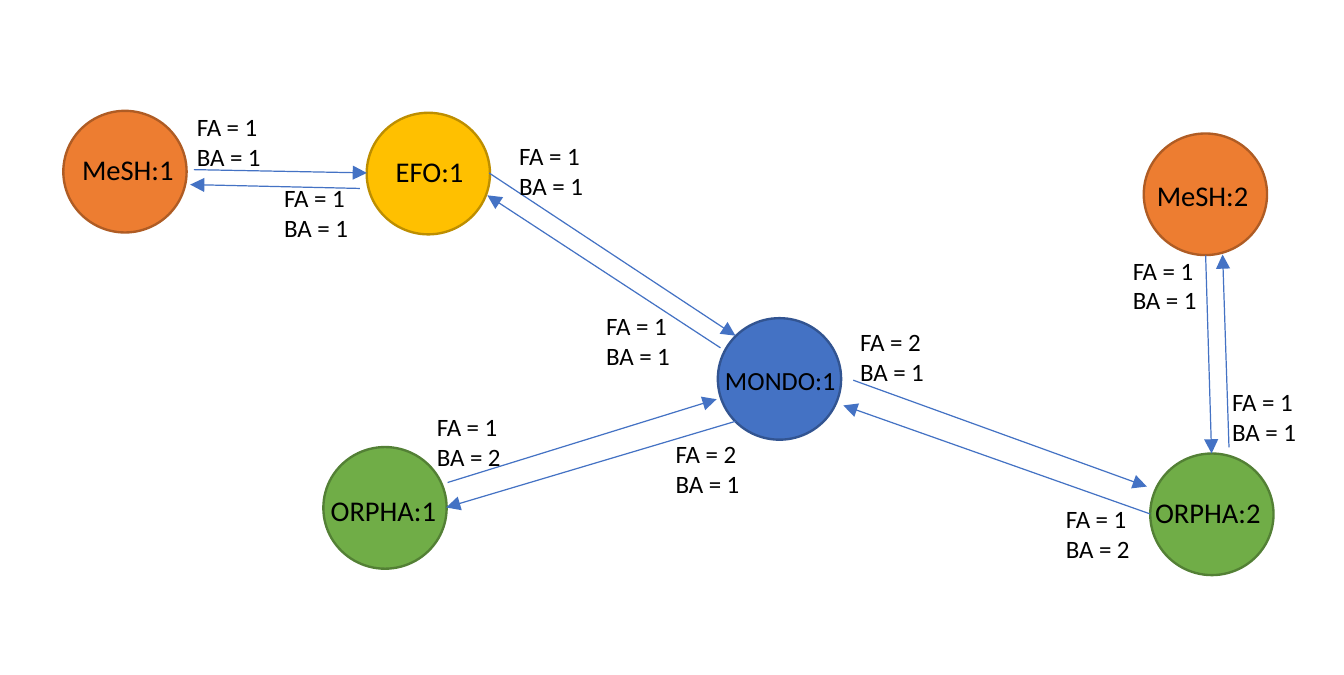
from lxml.etree import SubElement
from pptx import Presentation
from pptx.dml.color import RGBColor
from pptx.enum.shapes import MSO_CONNECTOR, MSO_SHAPE
from pptx.enum.text import MSO_AUTO_SIZE, PP_ALIGN
from pptx.oxml.ns import qn
from pptx.util import Pt

BLACK = RGBColor(0x00, 0x00, 0x00)
BLUE = RGBColor(0x44, 0x72, 0xC4)
DARK_BLUE = RGBColor(0x32, 0x54, 0x91)
ORANGE = RGBColor(0xED, 0x7D, 0x31)
DARK_ORANGE = RGBColor(0xAF, 0x5C, 0x24)
GREEN = RGBColor(0x70, 0xAD, 0x47)
DARK_GREEN = RGBColor(0x53, 0x80, 0x35)
YELLOW = RGBColor(0xFF, 0xC0, 0x00)
DARK_YELLOW = RGBColor(0xBD, 0x8E, 0x00)

# Caption, size, fill, outline, circle position, caption position and width
NODES = [
    ("MONDO:1", 11, BLUE, DARK_BLUE, (301.5, 133.7), (297.4, 149.8), 61.2),
    ("MeSH:1", 12, ORANGE, DARK_ORANGE, (26.6, 46.6), (27.4, 60.5), 53.3),
    ("ORPHA:2", 12, GREEN, DARK_GREEN, (483.1, 190.6), (478.1, 204.5), 59.8),
    ("MeSH:2", 12, ORANGE, DARK_ORANGE, (480.4, 56.1), (478.8, 71.3), 53.3),
    ("ORPHA:1", 12, GREEN, DARK_GREEN, (135.8, 187.9), (131.8, 203.8), 59.8),
    ("EFO:1", 12, YELLOW, DARK_YELLOW, (154, 47.4), (159.1, 61.2), 43.2),
]

# Arrow start, arrow end, label position, FA, BA
MAPPINGS = [
    ((81.4, 71.3), (154.1, 72.7), (75.6, 43.2), 1, 1),
    ((151.2, 79.2), (79.9, 77.6), (112.3, 73.4), 1, 1),
    ((205.4, 72.7), (308.9, 141.1), (211, 55.4), 1, 1),
    ((302.6, 146.2), (204.7, 82.1), (247.5, 126.9), 1, 1),
    ((188, 202.8), (301, 167.8), (176.4, 169.4), 1, 2),
    ((308.9, 177.1), (187.4, 213.3), (276.7, 180.8), 2, 1),
    ((358.4, 159.8), (481.7, 204.5), (354.2, 133.9), 2, 1),
    ((483.1, 216), (354.2, 170.4), (440.6, 208.1), 1, 2),
    ((506.4, 107.3), (508.9, 190.6), (468.7, 103.7), 1, 1),
    ((516.2, 188), (513.5, 107), (510.5, 159.1), 1, 1),
]


class MappingDiagram:
    font_name = "Calibri"
    circle_size = (51.8, 51.1)

    def __init__(self, slide):
        self.slide = slide

    def circle(self, position, fill, outline):
        shape = self.slide.shapes.add_shape(
            MSO_SHAPE.OVAL, *map(Pt, position + self.circle_size))
        shape.shadow.inherit = False
        shape.fill.solid()
        shape.fill.fore_color.rgb = fill
        shape.line.color.rgb = outline
        shape.line.width = Pt(1)

    def text(self, lines, position, width, height, size):
        box = self.slide.shapes.add_textbox(*map(Pt, (*position, width, height)))
        frame = box.text_frame
        frame.word_wrap = False
        frame.auto_size = MSO_AUTO_SIZE.SHAPE_TO_FIT_TEXT
        paragraph = frame.paragraphs[0]
        paragraph.alignment = PP_ALIGN.LEFT
        for index, line in enumerate(lines):
            if index:
                paragraph.add_line_break()
            run = paragraph.add_run()
            run.text = line
            run.font.name = self.font_name
            run.font.size = Pt(size)
            run.font.color.rgb = BLACK

    def arrow(self, start, end):
        connector = self.slide.shapes.add_connector(
            MSO_CONNECTOR.STRAIGHT, *map(Pt, start + end))
        connector.line.color.rgb = BLUE
        connector.line.width = Pt(0.5)
        properties = connector.element.spPr
        SubElement(properties.find(qn("a:ln")), qn("a:tailEnd"), type="triangle")
        SubElement(properties, qn("a:effectLst"))


def main():
    presentation = Presentation()
    presentation.slide_width = Pt(564.48)
    presentation.slide_height = Pt(283.68)
    slide = presentation.slides.add_slide(presentation.slide_layouts[6])
    diagram = MappingDiagram(slide)

    # Ontology terms
    for caption, size, fill, outline, position, caption_position, width in NODES:
        diagram.circle(position, fill, outline)
        diagram.text([caption], caption_position, width, 21.6, size)

    # Mappings between terms, with their counts
    for start, end, label_position, fa, ba in MAPPINGS:
        diagram.arrow(start, end)
        diagram.text([f"FA = {fa}", f"BA = {ba}"], label_position, 43.2, 33.8, 10.5)

    presentation.save("out.pptx")


if __name__ == "__main__":
    main()
